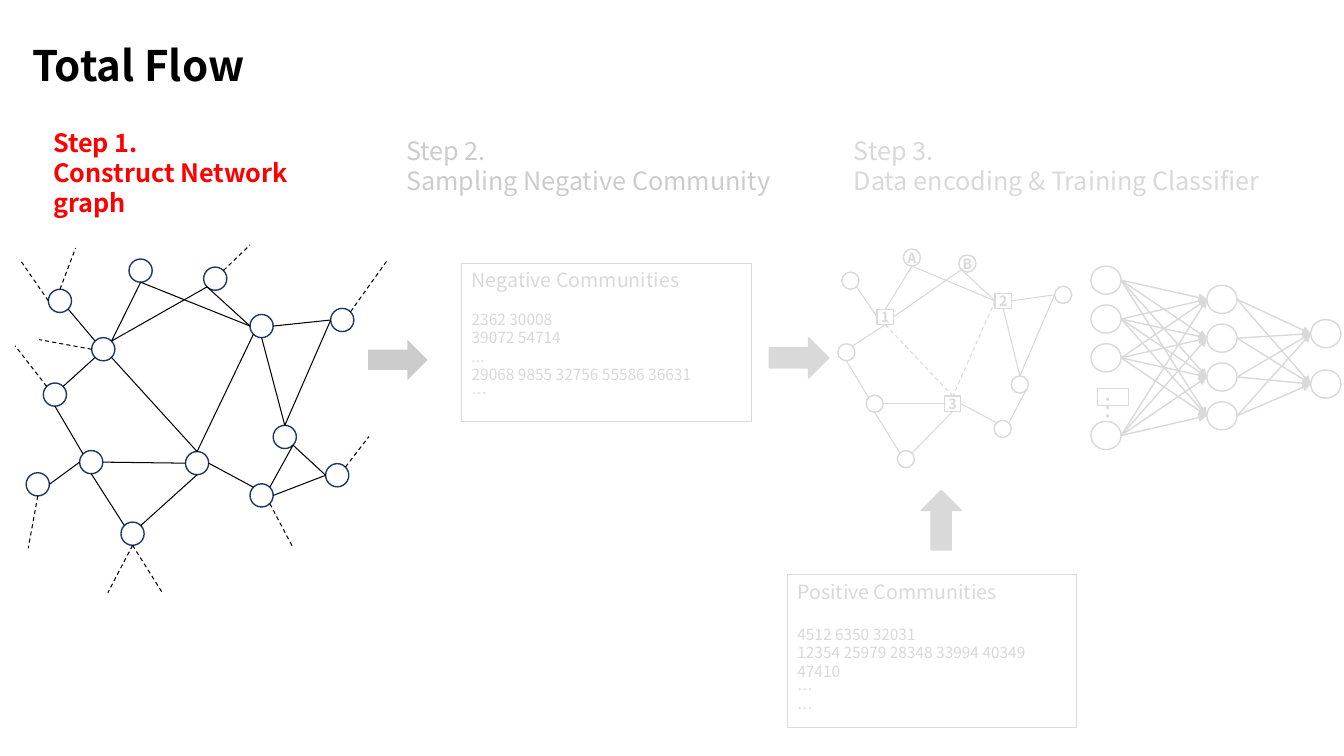
from itertools import product

from lxml.etree import SubElement
from pptx import Presentation
from pptx.dml.color import RGBColor
from pptx.enum.dml import MSO_LINE_DASH_STYLE as Dash
from pptx.enum.shapes import MSO_AUTO_SHAPE_TYPE as Shape, MSO_CONNECTOR as Connector
from pptx.enum.text import MSO_ANCHOR as Anchor, MSO_AUTO_SIZE as AutoSize, PP_ALIGN as Align
from pptx.oxml.ns import qn
from pptx.util import Inches, Pt

FONT = "Noto Sans CJK KR"
BLACK, NAVY, RED, GREY, PALE = "000000", "1F3864", "FF0000", "CCCCCC", "D9D9D9"
DIAGONAL = 0.5 ** 0.5
COMPASS = {
    "n": (0, -1), "w": (-1, 0), "s": (0, 1), "e": (1, 0),
    "nw": (-DIAGONAL, -DIAGONAL), "ne": (DIAGONAL, -DIAGONAL),
    "sw": (-DIAGONAL, DIAGONAL), "se": (DIAGONAL, DIAGONAL),
}
RECT_SITES = "nwse"

NETWORK_NODES = {
    "a": (0.76, 0.92), "b": (2.33, 0.69), "c": (1.69, 2.05), "d": (1.13, 0.14),
    "e": (1.87, 0.22), "f": (0.28, 1.37), "g": (0.64, 2.04), "h": (1.05, 2.75),
    "i": (0.33, 0.44), "j": (0.11, 2.26), "k": (2.56, 1.79), "l": (3.13, 0.63),
    "m": (2.33, 2.37), "n": (3.08, 2.17),
}
NETWORK_EDGES = [
    "a ne d s", "b w d s", "a ne e sw", "b w e sw", "f ne a sw", "f s g nw", "c w g e",
    "h nw g s", "h ne c s", "i se a nw", "j e g w", "b e l w", "b s k n", "l w k n",
    "c e m nw", "k se n w", "m e n w", "k se m ne", "c n a se", "b sw c n",
]
NETWORK_LOOSE_ENDS = [
    ("i n", 0.6, 0.03), ("i w", 0.05, 0.15), ("f nw", 0, 1), ("a w", 0.24, 0.94),
    ("j s", 0.13, 3.01), ("h s", 0.92, 3.45), ("h s", 1.46, 3.45), ("l ne", 3.7, 0.14),
    ("m se", 2.76, 3.01), ("n ne", 3.51, 1.9), ("e ne", 2.33, 0),
]
SAMPLE_NODES = {
    "A": (0.65, 0), "B": (1.2, 0.06), "f": (0, 0.94), "g": (0.28, 1.45), "h": (0.59, 2),
    "i": (0.04, 0.23), "k": (1.72, 1.26), "l": (2.15, 0.37), "m": (1.55, 1.7),
    "1": (0.39, 0.6), "2": (1.56, 0.44), "3": (1.06, 1.46),
}
SAMPLE_EDGES = [
    "1 n A s", "2 w A s", "1 e B sw", "2 w B sw", "f ne 1 s", "f s g nw", "3 w g e",
    "h nw g s", "h ne 3 s", "i se 1 w", "2 e l w", "2 s k n", "l w k n", "3 e m nw",
    "k se m ne",
]
SAMPLE_DASHED = ["3 n 1 s", "2 w 3 n"]


def paint(color):
    """Turn a hex string into a colour."""
    return RGBColor.from_string(color)


def write(para, text, size=18, color=PALE, bold=False, align=Align.LEFT, after=0):
    """Put one formatted span of text into a paragraph."""
    para.alignment = align
    para.space_before, para.space_after = Pt(0), Pt(after)
    span = para.add_run()
    span.text = text
    span.font.name, span.font.size, span.font.bold = FONT, Pt(size), bold
    span.font.color.rgb = paint(color)


def add_box(shapes, kind, left, top, width, height, line=PALE, weight=1, fill=None):
    """Add a preset shape with plain fill and outline."""
    box = shapes.add_shape(kind, Inches(left), Inches(top), Inches(width), Inches(height))
    box.shadow.inherit = False
    if fill:
        box.fill.solid()
        box.fill.fore_color.rgb = paint(fill)
    else:
        box.fill.background()
    if line:
        box.line.color.rgb = paint(line)
        box.line.width = Pt(weight)
    else:
        box.line.fill.background()
    return box


def add_line(shapes, start, end, color, weight=0.75, dashed=False, arrow=False):
    """Add a straight connector between two points in EMU."""
    line = shapes.add_connector(Connector.STRAIGHT, *start, *end)
    line.line.color.rgb = paint(color)
    line.line.width = Pt(weight)
    if dashed:
        line.line.dash_style = Dash.DASH
    if arrow:
        SubElement(line.line._get_or_add_ln(), qn("a:tailEnd"), type="triangle")
    SubElement(line._element.spPr, qn("a:effectLst"))
    return line


def site(box, side):
    """Find the point on a shape's outline at a compass side."""
    across, down = COMPASS[side]
    return (int(box.left + box.width * (1 + across) / 2),
            int(box.top + box.height * (1 + down) / 2))


def add_edge(shapes, nodes, edge, color, dashed=False):
    """Join two nodes named in an edge such as 'a ne d s'."""
    first, first_side, last, last_side = edge.split()
    line = add_line(shapes, site(nodes[first], first_side), site(nodes[last], last_side),
                    color, dashed=dashed)
    if first.isdigit():
        line.begin_connect(nodes[first], RECT_SITES.index(first_side))
    if last.isdigit():
        line.end_connect(nodes[last], RECT_SITES.index(last_side))


def add_graph(shapes, left, top, places, edges, size, outline, color, dashed=(), loose=()):
    """Draw a graph of circles and numbered squares with its edges."""
    nodes = {}
    for name, (x, y) in places.items():
        square = name.isdigit()
        kind, width, height = (Shape.RECTANGLE, 0.16, 0.15) if square else (Shape.OVAL, size, size)
        node = nodes[name] = add_box(shapes, kind, left + x, top + y, width, height, outline)
        if square or name.isupper():
            frame = node.text_frame
            frame.margin_left = frame.margin_right = frame.margin_top = frame.margin_bottom = 0
            frame.word_wrap, frame.vertical_anchor = False, Anchor.MIDDLE
            write(frame.paragraphs[0], name, 10, bold=True, align=Align.CENTER)
    for edge in edges:
        add_edge(shapes, nodes, edge, color)
    for edge in dashed:
        add_edge(shapes, nodes, edge, color, dashed=True)
    for start, x, y in loose:
        name, side = start.split()
        end = Inches(left + x), Inches(top + y)
        add_line(shapes, site(nodes[name], side), end, color, dashed=True)


def add_classifier(shapes, left, top):
    """Draw the fully connected layers of the classifier."""
    step = 0.385
    columns = [(0, [step * row for row in (0, 1, 2, 4)]),
               (1.15, [0.19 + step * row for row in range(4)]),
               (2.18, [0.53, 1.03])]
    layers = [[add_box(shapes, Shape.OVAL, left + x, top + y, 0.3, 0.28, fill="FFFFFF")
               for y in rows] for x, rows in columns]
    for sources, targets in zip(layers, layers[1:]):
        for source, target in product(sources, targets):
            add_line(shapes, site(source, "e"), site(target, "w"), PALE, 1, arrow=True)
    more = add_box(shapes, Shape.RECTANGLE, left + 0.13, top + 1.14, 0.17, 0.31, weight=0.75)
    more.rotation = 90
    more.text_frame.vertical_anchor = Anchor.TOP
    write(more.text_frame.paragraphs[0], "…")


def add_step(shapes, left, top, width, number, name, color, bold=False):
    """Write a step's number and name."""
    box = shapes.add_textbox(Inches(left), Inches(top), Inches(width), Inches(0.93))
    frame = box.text_frame
    frame.word_wrap = True
    write(frame.paragraphs[0], f"Step {number}.", color=color, bold=bold)
    write(frame.add_paragraph(), name, color=color, bold=bold)


def add_communities(shapes, left, top, height, heading, gap, rows):
    """Draw a framed list of communities."""
    box = add_box(shapes, Shape.RECTANGLE, left, top, 2.87, height, weight=0.75)
    frame = box.text_frame
    frame.word_wrap, frame.vertical_anchor = True, Anchor.TOP
    write(frame.paragraphs[0], heading, 14, after=gap)
    for row in rows:
        write(frame.add_paragraph(), row, 11)


def add_title(page, text):
    """Place and format the slide's title."""
    title = page.shapes.title
    title.left, title.top, title.width, title.height = map(Inches, (0.22, 0.29, 3.02, 0.47))
    frame = title.text_frame
    frame.margin_left = frame.margin_right = frame.margin_top = frame.margin_bottom = Inches(0.1)
    frame.word_wrap, frame.vertical_anchor = True, Anchor.TOP
    frame.auto_size = AutoSize.NONE
    write(frame.paragraphs[0], text, 30, BLACK, bold=True)


def main():
    """Build the slide and save it."""
    deck = Presentation()
    deck.slide_width, deck.slide_height = Inches(13.33), Inches(7.5)
    page = deck.slides.add_slide(deck.slide_layouts[5])
    shapes = page.shapes
    add_title(page, "Total Flow")
    add_step(shapes, 0.43, 1.21, 3.3, 1, "Construct Network graph", RED, bold=True)
    add_step(shapes, 3.93, 1.29, 4.04, 2, "Sampling Negative Community", GREY)
    add_step(shapes, 8.37, 1.29, 4.45, 3, "Data encoding & Training Classifier", PALE)
    add_graph(shapes.add_group_shape().shapes, 0.15, 2.43, NETWORK_NODES, NETWORK_EDGES,
              0.23, NAVY, BLACK, loose=NETWORK_LOOSE_ENDS)
    add_graph(shapes, 8.31, 2.47, SAMPLE_NODES, SAMPLE_EDGES, 0.17, PALE, PALE, SAMPLE_DASHED)
    add_classifier(shapes, 10.82, 2.64)
    for left, top, fill, line, turn in [(3.65, 3.37, GREY, None, 0), (7.63, 3.35, PALE, PALE, 0),
                                        (9.04, 4.96, PALE, PALE, 270)]:
        arrow = add_box(shapes, Shape.RIGHT_ARROW, left, top, 0.59, 0.4, line, fill=fill)
        arrow.rotation = turn
    add_communities(shapes, 7.81, 5.7, 1.52, "Positive Communities", 15.6,
                    ["4512 6350 32031", "12354 25979 28348 33994 40349 47410", "…", "…"])
    add_communities(shapes, 4.58, 2.61, 1.57, "Negative Communities", 13.2,
                    ["2362 30008", "39072 54714", "...", "29068 9855 32756 55586 36631", "…"])
    deck.save("out.pptx")


if __name__ == "__main__":
    main()
